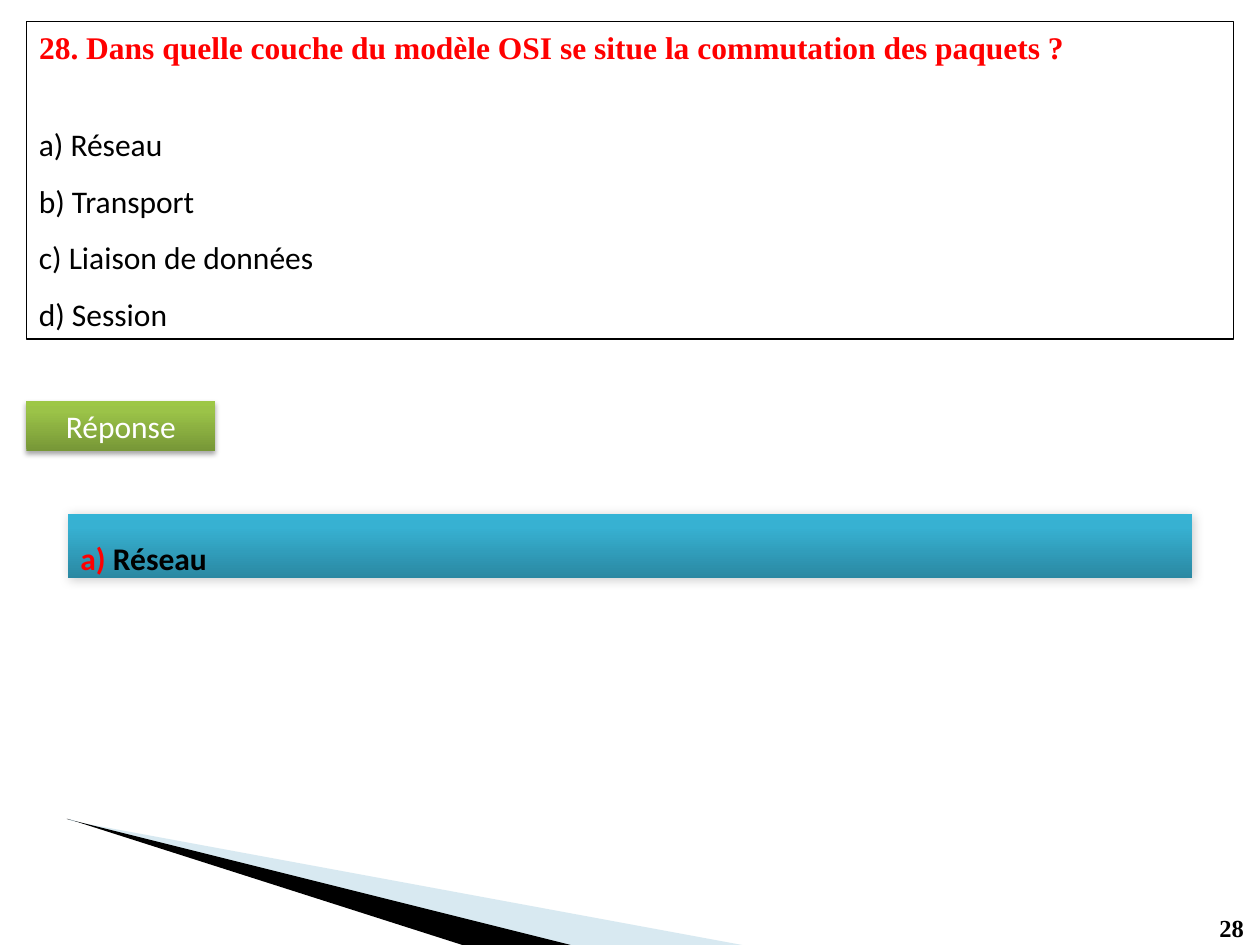
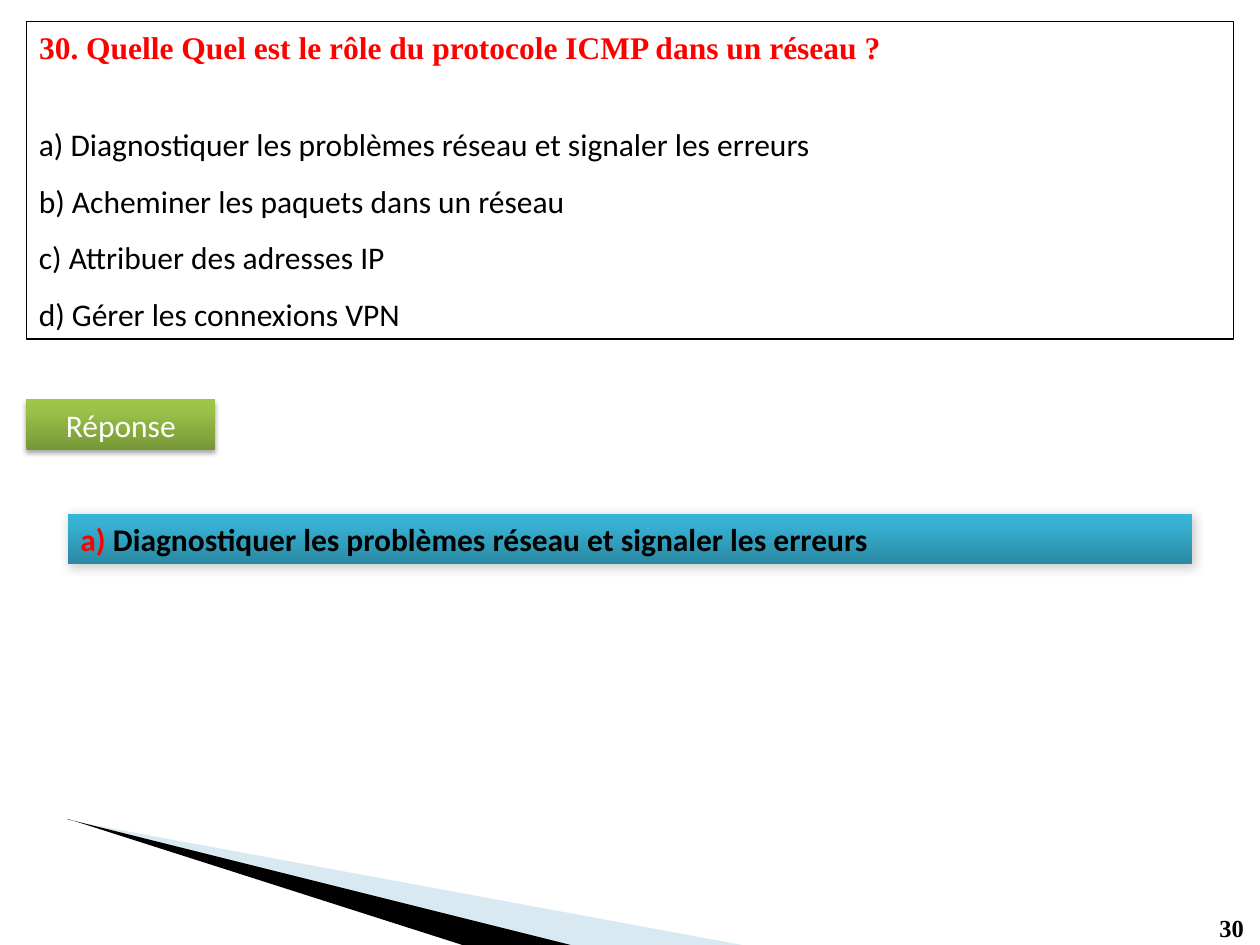
from pptx import Presentation
from pptx.dml.color import RGBColor
from pptx.enum.shapes import MSO_SHAPE
from pptx.enum.text import MSO_ANCHOR, PP_ALIGN
from pptx.oxml import parse_xml
from pptx.oxml.ns import nsdecls, qn
from pptx.util import Inches, Pt
from lxml.etree import SubElement

BLACK, WHITE, RED, PALE_BLUE = "000000", "FFFFFF", "FF0000", "9FCADC"
SERIF, SANS = "Times New Roman", "Calibri"
GREEN_STOPS = [(0, "779737"), (80, "9BC348"), (100, "9DC746")]
BLUE_STOPS = [(0, "2A88A2"), (80, "37B1D2"), (100, "34B4D6")]
BUTTON_SHADOW = dict(opacity=35, blur=3.1, distance=1.8, angle=90)
BAND_SHADOW = dict(opacity=20, blur=6, distance=1, angle=45)
QUESTION_BOX = (0.21, 0.17, 9.58, 2.52)

QUESTIONS = [
    dict(
        number=28,
        question="Dans quelle couche du modèle OSI se situe la commutation des paquets ?",
        options=["Réseau", "Transport", "Liaison de données", "Session"],
        button_top=3.18, answer_height=0.51, answer_spacing=1.5,
    ),
    dict(
        number=30,
        question="Quelle Quel est le rôle du protocole ICMP dans un réseau ?",
        options=["Diagnostiquer les problèmes réseau et signaler les erreurs",
                 "Acheminer les paquets dans un réseau",
                 "Attribuer des adresses IP",
                 "Gérer les connexions VPN"],
        button_top=3.17, answer_height=0.4, answer_spacing=1,
    ),
]


def color(value):
    """Turn a hex string into a colour."""
    return RGBColor.from_string(value)


def add_span(para, text, font=SANS, size=18, fill=BLACK, bold=False):
    """Add formatted text to a paragraph."""
    span = para.add_run()
    span.text = text
    span.font.name, span.font.size, span.font.bold = font, Pt(size), bold
    span.font.color.rgb = color(fill)


def add_rectangle(page, box):
    """Add a plain rectangle without fill, line or shadow."""
    shape = page.shapes.add_shape(MSO_SHAPE.RECTANGLE, *map(Inches, box))
    shape.fill.background()
    shape.line.fill.background()
    shape.shadow.inherit = False
    shape.text_frame.vertical_anchor = MSO_ANCHOR.TOP
    return shape


def add_glossy_rectangle(page, box, stops, opacity, blur, distance, angle):
    """Add a rectangle with a vertical gradient and a soft shadow."""
    shape = add_rectangle(page, box)
    properties = shape._element.spPr
    stop_xml = "".join(
        f'<a:gs pos="{place * 1000}"><a:srgbClr val="{value}"/></a:gs>'
        for place, value in stops)
    gradient = parse_xml(
        f'<a:gradFill {nsdecls("a")} rotWithShape="1"><a:gsLst>{stop_xml}</a:gsLst>'
        '<a:lin ang="16200000" scaled="0"/></a:gradFill>')
    properties.replace(properties.find(qn("a:noFill")), gradient)
    properties.find(qn("a:effectLst")).append(parse_xml(
        f'<a:outerShdw {nsdecls("a")} blurRad="{Pt(blur)}" dist="{Pt(distance)}" '
        f'dir="{angle * 60000}" algn="ctr" rotWithShape="0"><a:srgbClr val="{BLACK}">'
        f'<a:alpha val="{opacity * 1000}"/></a:srgbClr></a:outerShdw>'))
    return shape


def add_wedge(page, outlines, fill, opacity=100):
    """Add one filled shape made of closed outlines."""
    contours = [[(Inches(x), Inches(y)) for x, y in outline] for outline in outlines]
    builder = page.shapes.build_freeform(*contours[0][0])
    builder.add_line_segments(contours[0][1:])
    for contour in contours[1:]:
        builder.move_to(*contour[0])
        builder.add_line_segments(contour[1:])
    shape = builder.convert_to_shape()
    shape.fill.solid()
    shape.fill.fore_color.rgb = color(fill)
    shape.line.fill.background()
    shape.shadow.inherit = False
    if opacity < 100:
        tint = shape._element.spPr.find(qn("a:solidFill"))[0]
        SubElement(tint, qn("a:alpha")).set("val", str(opacity * 1000))


def draw_corner(page):
    """Draw the two wedges at the lower left."""
    add_wedge(page, [[(0.64, 6.53), (4.51, 7.5), (5.89, 7.5)],
                     [(0.55, 6.5), (0.55, 6.51), (0.64, 6.53)]], PALE_BLUE, 40)
    add_wedge(page, [[(0.53, 6.5), (0.54, 6.5), (3.67, 7.5), (4.53, 7.5)]], BLACK)


def draw_page_number(page, number, box=(9.58, 7.2, 0.4, 0.34)):
    """Write the page number at the lower right."""
    frame = page.shapes.add_textbox(*map(Inches, box)).text_frame
    frame.word_wrap = False
    add_span(frame.paragraphs[0], str(number), SERIF, 14, bold=True)


def draw_question(page, heading, options, box):
    """Draw the framed question with its lettered options."""
    left, top, width, _ = box
    title = page.shapes.title
    title.left, title.top, title.width, title.height = map(
        Inches, (left, top, width, 0.4))
    title.text_frame.vertical_anchor = MSO_ANCHOR.TOP
    title.text_frame.paragraphs[0].alignment = PP_ALIGN.LEFT
    add_span(title.text_frame.paragraphs[0], heading, SERIF, fill=RED, bold=True)

    panel = add_rectangle(page, box)
    panel.line.color.rgb = color(BLACK)
    panel.line.width = Pt(0.75)
    frame = panel.text_frame
    frame.vertical_anchor = MSO_ANCHOR.BOTTOM
    for index, (letter, option) in enumerate(zip("abcd", options)):
        para = frame.add_paragraph() if index else frame.paragraphs[0]
        para.alignment = PP_ALIGN.LEFT
        para.line_spacing = 1.5
        add_span(para, f"{letter}) {option}")


def draw_button(page, box):
    """Draw the green label above the answer."""
    button = add_glossy_rectangle(page, box, GREEN_STOPS, **BUTTON_SHADOW)
    para = button.text_frame.paragraphs[0]
    para.alignment = PP_ALIGN.CENTER
    add_span(para, "Réponse", fill=WHITE)


def draw_answer(page, answer, spacing, box):
    """Draw the blue band with the right option."""
    band = add_glossy_rectangle(page, box, BLUE_STOPS, **BAND_SHADOW)
    para = band.text_frame.paragraphs[0]
    para.alignment = PP_ALIGN.JUSTIFY
    para.line_spacing = float(spacing)
    add_span(para, "a) ", fill=RED, bold=True)
    add_span(para, answer, bold=True)


def build_quiz_page(deck, number, question, options, button_top,
                    answer_height, answer_spacing):
    """Build one question page with its answer."""
    page = deck.slides.add_slide(deck.slide_layouts.get_by_name("Title Only"))
    draw_corner(page)
    draw_page_number(page, number)
    draw_question(page, f"{number}. {question}", options, QUESTION_BOX)
    draw_button(page, (QUESTION_BOX[0], button_top, 1.5, 0.4))
    draw_answer(page, options[0], answer_spacing, (0.54, 4.08, 8.92, answer_height))


def main():
    """Build and save the deck."""
    deck = Presentation()
    deck.slide_width, deck.slide_height = Inches(10), Inches(7.5)
    for quiz in QUESTIONS:
        build_quiz_page(deck, **quiz)
    deck.save("out.pptx")


if __name__ == "__main__":
    main()
